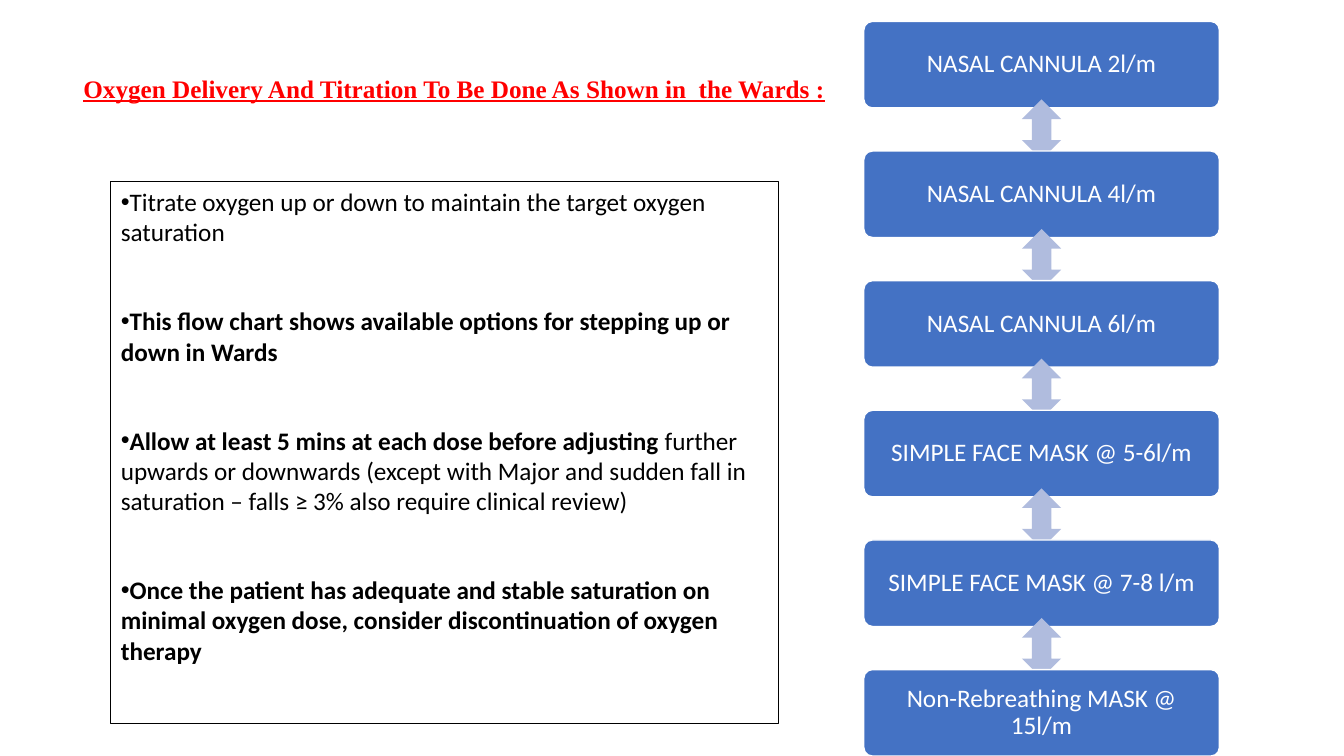
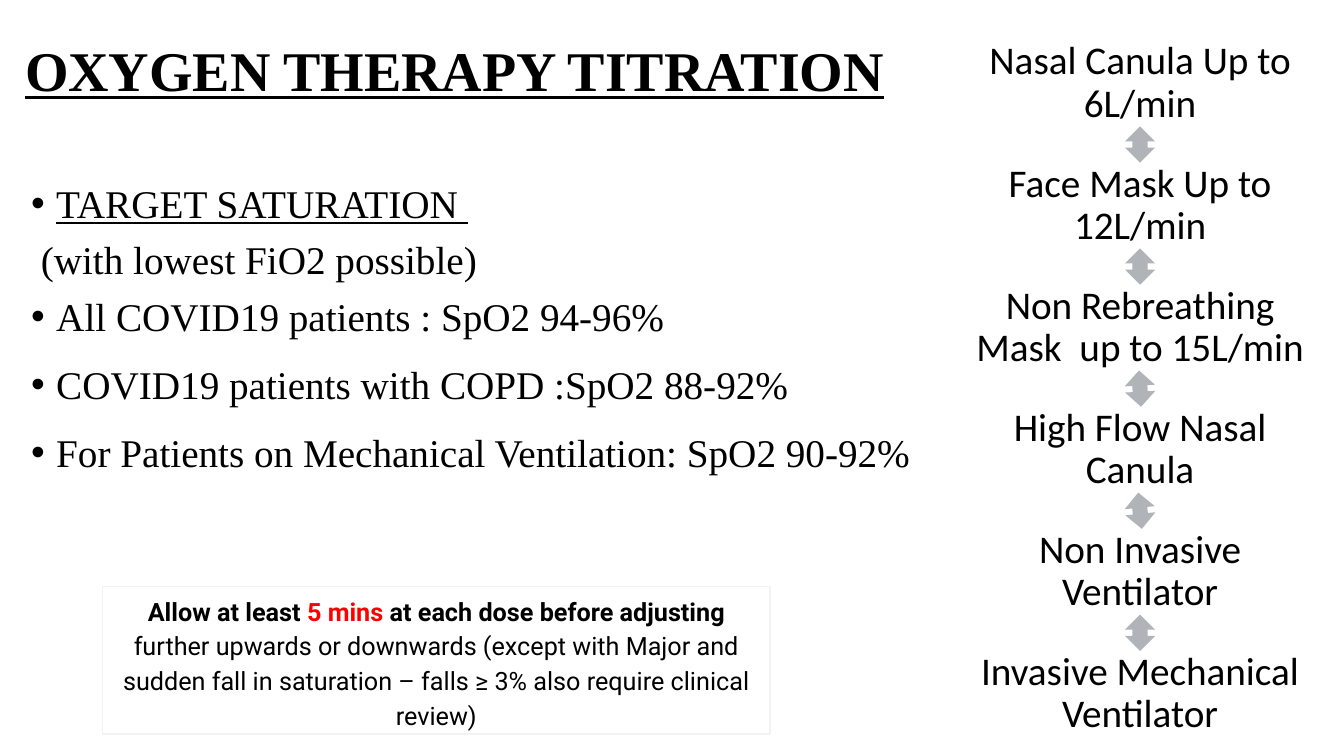
from dataclasses import dataclass

from lxml.etree import SubElement
from pptx import Presentation
from pptx.dml.color import RGBColor
from pptx.enum.shapes import MSO_SHAPE as Preset
from pptx.enum.text import MSO_ANCHOR as Anchor, PP_ALIGN as Align
from pptx.oxml.ns import qn
from pptx.shapes.autoshape import Shape
from pptx.slide import Slide
from pptx.text.text import TextFrame
from pptx.util import Pt

BLACK, WHITE, RED = "000000", "FFFFFF", "FF0000"
BLUE, PALE_BLUE, GREY, PALE_GREY = "4472C4", "B0BCDE", "B0B4B9", "F2F2F2"
SERIF, SANS, NOTE_FONT = "Times New Roman", "Calibri", "Roboto"


@dataclass(frozen=True)
class Box:
    left: float
    top: float
    width: float
    height: float


@dataclass(frozen=True)
class Piece:
    text: str
    bold: bool = False
    underline: bool = False
    color: str = BLACK


@dataclass(frozen=True)
class Para:
    pieces: tuple[Piece, ...]
    bullet: bool = False
    margin: float = 0
    indent: float = 0
    line_spacing: float = 1.0
    before: float = 0
    after: float = 0
    align: Align = Align.LEFT


@dataclass(frozen=True)
class Ladder:
    """Column of steps with a two-way arrow centred in each gap."""
    first: Box
    pitch: float
    steps: tuple[str, ...]
    fill: str
    font_color: str
    size: float
    inset: float
    arrow_width: float
    arrow_height: float
    arrow_color: str
    arrow_turns: tuple[float, ...] = (0, 0, 0, 0, 0)


def rgb(color: str) -> RGBColor:
    return RGBColor.from_string(color)


def write(frame: TextFrame, paras: list[Para], font: str, size: float,
          anchor: Anchor = Anchor.TOP) -> None:
    frame.word_wrap = True
    frame.vertical_anchor = anchor
    for index, para in enumerate(paras):
        paragraph = frame.add_paragraph() if index else frame.paragraphs[0]
        paragraph.text = para.pieces[0].text
        for piece in para.pieces[1:]:
            paragraph.add_run().text = piece.text
        for run, piece in zip(paragraph.runs, para.pieces):
            run.font.name, run.font.size = font, Pt(size)
            run.font.bold, run.font.underline = piece.bold, piece.underline
            run.font.color.rgb = rgb(piece.color)
        paragraph.alignment = para.align
        paragraph.line_spacing = para.line_spacing
        paragraph.space_before = Pt(para.before)
        paragraph.space_after = Pt(para.after)
        # Indents and bullets
        properties = paragraph._p.get_or_add_pPr()
        properties.set("marL", str(Pt(para.margin)))
        properties.set("indent", str(Pt(para.indent)))
        if para.bullet:
            SubElement(properties, qn("a:buFont")).set("typeface", "Arial")
            SubElement(properties, qn("a:buChar")).set("char", "•")


def add_text(slide: Slide, box: Box, paras: list[Para], font: str, size: float,
             anchor: Anchor = Anchor.TOP) -> None:
    text_box = slide.shapes.add_textbox(
        Pt(box.left), Pt(box.top), Pt(box.width), Pt(box.height))
    write(text_box.text_frame, paras, font, size, anchor)


def add_title(slide: Slide, box: Box, text: str, size: float, color: str) -> None:
    title = Para((Piece(text, True, True, color),), line_spacing=0.9)
    add_text(slide, box, [title], SERIF, size, Anchor.MIDDLE)


def add_preset(slide: Slide, preset: Preset, box: Box, fill: str,
               line: str | None = None, line_width: float = 1) -> Shape:
    shape = slide.shapes.add_shape(
        preset, Pt(box.left), Pt(box.top), Pt(box.width), Pt(box.height))
    shape.shadow.inherit = False
    shape.fill.solid()
    shape.fill.fore_color.rgb = rgb(fill)
    if line:
        shape.line.color.rgb = rgb(line)
        shape.line.width = Pt(line_width)
    else:
        shape.line.fill.background()
    return shape


def add_ladder(slide: Slide, ladder: Ladder) -> None:
    first = ladder.first
    gap = ladder.pitch - first.height
    for index, label in enumerate(ladder.steps):
        top = first.top + index * ladder.pitch
        step = add_preset(slide, Preset.ROUNDED_RECTANGLE,
                          Box(first.left, top, first.width, first.height),
                          ladder.fill, WHITE)
        step.adjustments[0] = 0.1
        frame = step.text_frame
        frame.margin_left = frame.margin_right = Pt(ladder.inset)
        frame.margin_top = frame.margin_bottom = Pt(ladder.inset)
        para = Para((Piece(label, color=ladder.font_color),),
                    line_spacing=0.9, align=Align.CENTER)
        write(frame, [para], SANS, ladder.size, Anchor.MIDDLE)
        if index < len(ladder.steps) - 1:
            arrow_box = Box(
                first.left + (first.width - ladder.arrow_width) / 2,
                top + first.height + (gap - ladder.arrow_height) / 2,
                ladder.arrow_width, ladder.arrow_height)
            arrow = add_preset(slide, Preset.UP_DOWN_ARROW, arrow_box,
                               ladder.arrow_color)
            arrow.rotation = ladder.arrow_turns[index]


ALLOW_REST = (" further upwards or downwards (except with Major and sudden fall "
              "in saturation – falls ≥ 3% also require clinical review)")


def build_wards(slide: Slide) -> None:
    add_title(slide, Box(52.5, 12.2, 560, 104.4),
              "Oxygen Delivery And Titration To Be Done As Shown in  the Wards :",
              18, RED)
    add_ladder(slide, Ladder(
        Box(617, 15.3, 254, 61.8), 92.6,
        ("NASAL CANNULA 2l/m", "NASAL CANNULA 4l/m", "NASAL CANNULA 6l/m",
         "SIMPLE FACE MASK @ 5-6l/m", "SIMPLE FACE MASK @ 7-8 l/m",
         "Non-Rebreathing MASK @ 15l/m"),
        BLUE, WHITE, 18, 6.8, 28, 43, PALE_BLUE))

    # Titration advice
    advice = [
        (Piece("Titrate oxygen up or down to maintain the target oxygen "
               "saturation"),),
        (Piece("This flow chart shows available options for stepping up or "
               "down in Wards", True),),
        (Piece("Allow at least 5 mins at each dose before adjusting", True),
         Piece(ALLOW_REST)),
        (Piece("Once the patient has adequate and stable saturation on minimal "
               "oxygen dose, consider discontinuation of oxygen therapy", True),),
    ]
    panel = add_preset(slide, Preset.RECTANGLE, Box(79.2, 129.6, 476.6, 387.4),
                       WHITE, BLACK, 0.75)
    write(panel.text_frame,
          [Para(pieces, bullet=True, after=42) for pieces in advice], SANS, 18)


def build_therapy(slide: Slide) -> None:
    add_title(slide, Box(10.8, 0, 670, 104.4), "OXYGEN THERAPY TITRATION",
              40, BLACK)

    # Saturation targets
    def target(text: str, spacing: float, underline: bool = False) -> Para:
        return Para((Piece(text, underline=underline),), True, 18, -18,
                    spacing, 10)

    add_text(slide, Box(15.1, 128.2, 662, 342.7), [
        target("TARGET SATURATION ", 0.9, True),
        Para((Piece("(with lowest FiO2 possible)"),), margin=7,
             line_spacing=0.9, before=10),
        target("All COVID19 patients : SpO2 94-96%", 0.9),
        target("COVID19 patients with COPD :SpO2 88-92%", 1.15),
        target("For Patients on Mechanical Ventilation: SpO2 90-92%", 1.15),
    ], SERIF, 28)

    add_ladder(slide, Ladder(
        Box(682.6, 30.4, 263.5, 58.4), 87.2,
        ("Nasal Canula Up to 6L/min", "Face Mask Up to 12L/min",
         "Non Rebreathing Mask  up to 15L/min", "High Flow Nasal Canula",
         "Non Invasive Ventilator", "Invasive Mechanical Ventilator"),
        WHITE, BLACK, 28, 10.3, 21.6, 26, GREY, (0, 0, 356.8, 354.2, 0)))

    # Dose adjustment note
    note = add_preset(slide, Preset.RECTANGLE, Box(73.4, 419, 476.6, 105.4),
                      WHITE, PALE_GREY)
    write(note.text_frame, [Para((
        Piece("Allow at least ", True), Piece("5 mins", True, color=RED),
        Piece(" at each dose before adjusting", True), Piece(ALLOW_REST),
    ), line_spacing=1.15, after=10, align=Align.CENTER)], NOTE_FONT, 18)


def main() -> None:
    deck = Presentation()
    deck.slide_width, deck.slide_height = Pt(960), Pt(540)
    blank = deck.slide_layouts[6]
    for build in (build_wards, build_therapy):
        build(deck.slides.add_slide(blank))
    deck.save("out.pptx")


if __name__ == "__main__":
    main()
